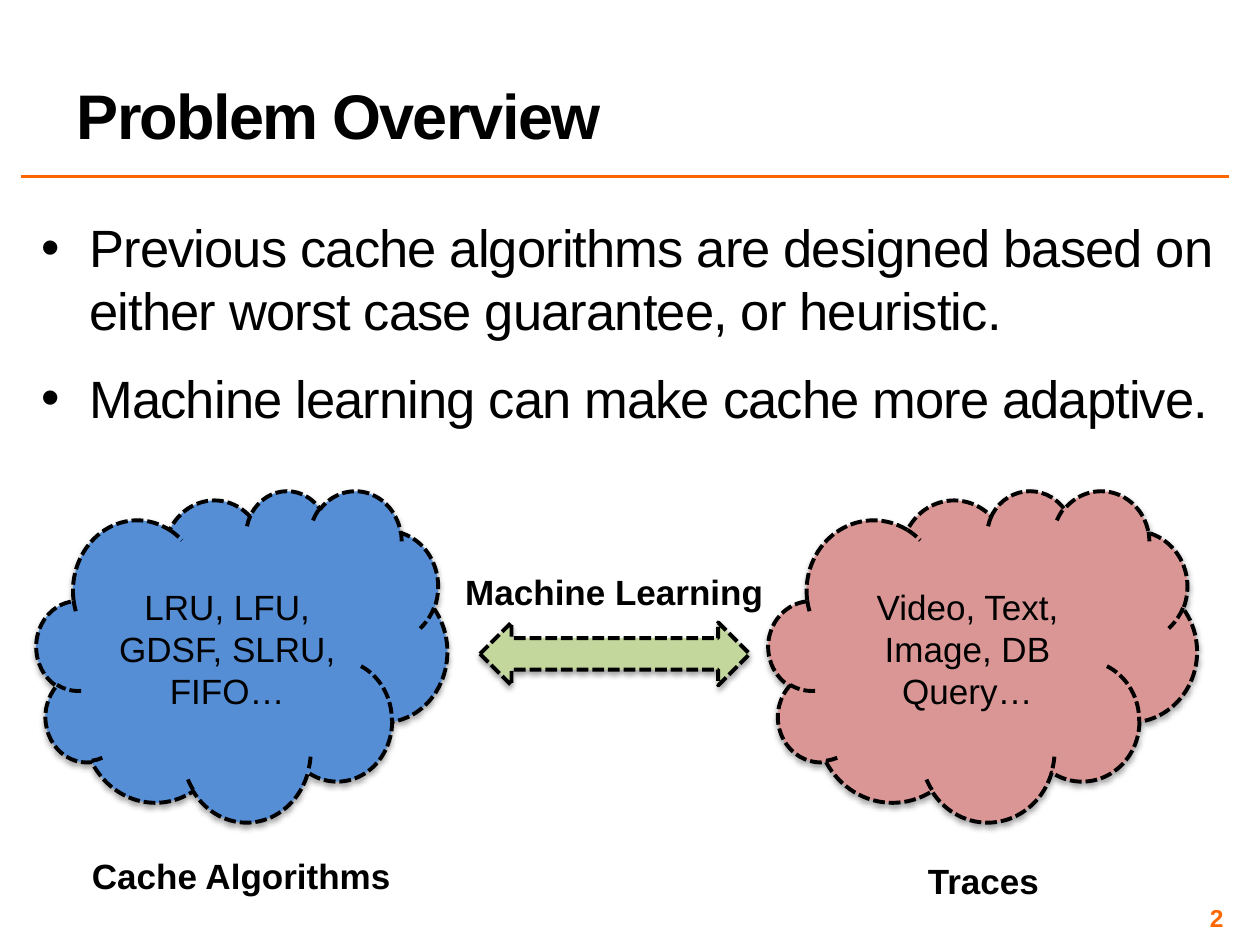
import pptx
import pptx.util
import pptx.dml.color
import pptx.enum.dml
import pptx.enum.shapes
import pptx.enum.text
import pptx.oxml
import pptx.oxml.ns
from lxml import etree

PX = 9144
BLACK = pptx.dml.color.RGBColor(0x00, 0x00, 0x00)
ORANGE = pptx.dml.color.RGBColor(0xFF, 0x66, 0x00)
BLUE = pptx.dml.color.RGBColor(0x55, 0x8E, 0xD5)
ROSE = pptx.dml.color.RGBColor(0xD9, 0x96, 0x94)
GREEN = pptx.dml.color.RGBColor(0xC3, 0xD6, 0x9B)

SHAPES = pptx.enum.shapes.MSO_SHAPE
ALIGN = pptx.enum.text.PP_ALIGN
ANCHOR = pptx.enum.text.MSO_ANCHOR
AUTO_SIZE = pptx.enum.text.MSO_AUTO_SIZE
Pt = pptx.util.Pt

LABEL_FORMAT = {"alignment": ALIGN.CENTER}
TIGHT_MARGINS = {f"margin_{side}": 4 * PX for side in ("left", "top", "right", "bottom")}


def emu(box):
    """Turn a px box into EMU lengths."""
    return [length * PX for length in box]


def set_all(target, values):
    """Set each named attribute of the target."""
    for name, value in values.items():
        setattr(target, name, value)


def place(placeholder, box):
    """Move a placeholder to a px box."""
    set_all(placeholder, dict(zip(("left", "top", "width", "height"), emu(box))))


def write(paragraph, words, size, bold=False, color=BLACK, tracking=0, layout=None):
    """Write one formatted run into a paragraph."""
    set_all(paragraph, layout or {})
    run = paragraph.add_run()
    run.text = words
    set_all(run.font, {"name": "Arial", "size": Pt(size), "bold": bold})
    run.font.color.rgb = color
    if tracking:
        run.font._element.set("spc", str(tracking))


def add_heading(slide, box, words):
    """Place the slide title."""
    heading = slide.shapes.title
    place(heading, box)
    set_all(heading.text_frame, {"vertical_anchor": ANCHOR.BOTTOM, "auto_size": AUTO_SIZE.NONE})
    write(heading.text_frame.paragraphs[0], words, 36, bold=True, tracking=-100,
          layout={"alignment": ALIGN.LEFT, "line_spacing": 0.8})


def add_rule(slide, left, top, width):
    """Draw the line under the title."""
    rule = slide.shapes.add_connector(pptx.enum.shapes.MSO_CONNECTOR.STRAIGHT,
                                      *emu((left, top, left + width, top)))
    rule.line.color.rgb = ORANGE
    rule.line.width = Pt(2)
    etree.SubElement(rule._element.spPr, pptx.oxml.ns.qn("a:effectLst"))


def add_points(slide, box, points):
    """Fill the body placeholder with bulleted points."""
    body = slide.placeholders[1]
    place(body, box)
    set_all(body.text_frame, {**TIGHT_MARGINS, "auto_size": AUTO_SIZE.NONE})
    for index, point in enumerate(points):
        paragraph = body.text_frame.add_paragraph() if index else body.text_frame.paragraphs[0]
        properties = paragraph._p.get_or_add_pPr()
        properties.set("marL", str(38 * PX))
        properties.set("indent", str(-38 * PX))
        etree.SubElement(properties, pptx.oxml.ns.qn("a:buChar")).set("char", "•")
        write(paragraph, point, 30, tracking=-50,
              layout={"space_before": Pt(14 if index else 0)})


def add_dashed_shape(slide, kind, box, fill, words=""):
    """Draw a filled shape with a dashed outline and a soft shadow."""
    shape = slide.shapes.add_shape(kind, *emu(box))
    shape.fill.solid()
    shape.fill.fore_color.rgb = fill
    shape.line.color.rgb = BLACK
    set_all(shape.line, {"width": Pt(2.25),
                         "dash_style": pptx.enum.dml.MSO_LINE.SQUARE_DOT})
    shape.shadow.inherit = False
    effects = shape._element.spPr.find(pptx.oxml.ns.qn("a:effectLst"))
    effects.append(pptx.oxml.parse_xml(
        f'<a:outerShdw {pptx.oxml.ns.nsdecls("a")} blurRad="40000" dist="23000" '
        'dir="5400000" rotWithShape="0"><a:srgbClr val="000000">'
        '<a:alpha val="35000"/></a:srgbClr></a:outerShdw>'))
    if words:
        shape.text_frame.vertical_anchor = ANCHOR.MIDDLE
        write(shape.text_frame.paragraphs[0], words, 20, layout=LABEL_FORMAT)


def add_label(slide, box, words):
    """Add a bold centred caption."""
    label = slide.shapes.add_textbox(*emu(box))
    set_all(label.text_frame, {"word_wrap": True, "auto_size": AUTO_SIZE.SHAPE_TO_FIT_TEXT})
    write(label.text_frame.paragraphs[0], words, 20, bold=True, layout=LABEL_FORMAT)


def add_diagram(slide, left, top):
    """Draw the two clouds, the arrow between them and their captions."""
    clouds = (
        (0, 326, BLUE, "LRU, LFU, GDSF, SLRU, FIFO…"),
        (581, 340, ROSE, "Video, Text, Image, DB Query…"),
    )
    captions = (
        (25, 284, "Cache Algorithms"),
        (614, 288, "Traces"),
        (321, 59, "Machine Learning"),
    )
    for across, width, fill, words in clouds:
        add_dashed_shape(slide, SHAPES.CLOUD, (left + across, top, width, 263), fill, words)
    add_dashed_shape(slide, SHAPES.LEFT_RIGHT_ARROW, (left + 352, top + 105, 214, 50), GREEN)
    for across, down, words in captions:
        add_label(slide, (left + across, top + down, 275, 44), words)


def add_page_number(slide, box, number):
    """Put the page number at the bottom right."""
    page = slide.shapes.add_textbox(*emu(box))
    set_all(page.text_frame, {**TIGHT_MARGINS, "word_wrap": True,
                              "vertical_anchor": ANCHOR.MIDDLE})
    write(page.text_frame.paragraphs[0], number, 14, bold=True, color=ORANGE,
          layout={"alignment": ALIGN.RIGHT})


def main():
    """Build the slide and save it."""
    deck = pptx.Presentation()
    set_all(deck, {"slide_width": 1000 * PX, "slide_height": 750 * PX})
    slide = deck.slides.add_slide(deck.slide_layouts[1])
    add_rule(slide, 17, 140, 958)
    add_heading(slide, (51, 8, 1012, 117), "Problem Overview")
    add_points(slide, (29, 167, 937, 422), (
        "Previous cache algorithms are designed based on either worst case guarantee, or heuristic.",
        "Machine learning can make cache more adaptive.",
    ))
    add_diagram(slide, 29, 389)
    add_page_number(slide, (742, 717, 233, 23), "2")
    deck.save("out.pptx")


if __name__ == "__main__":
    main()
